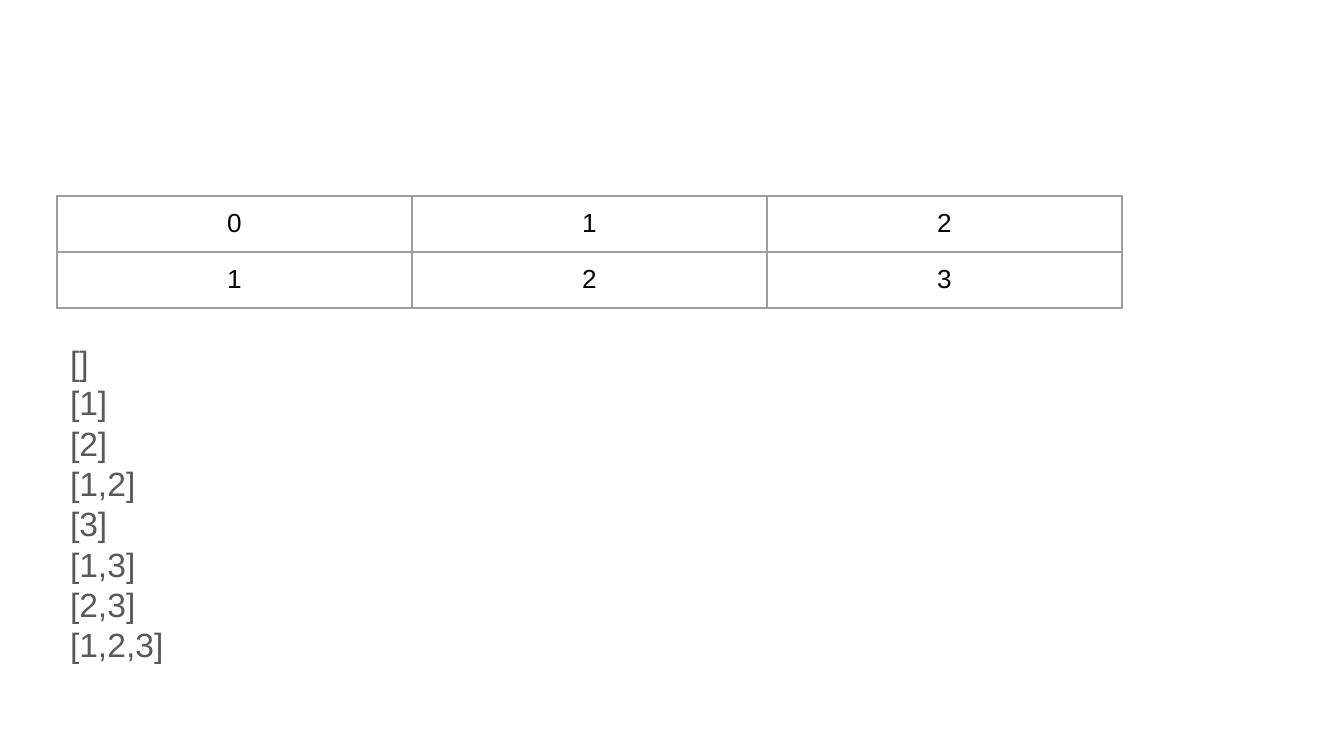
from pptx import Presentation
from pptx.dml.color import RGBColor as Rgb
from pptx.enum.text import PP_ALIGN as Align
from pptx.oxml import parse_xml
from pptx.oxml.ns import nsdecls
from pptx.util import Pt

PX = 914400 / 134.4
INK = {"cell": "000000", "list": "595959", "rule": "9E9E9E"}
PAD = 13


def px(n):
    return round(n * PX)


def put(par, text, size, ink):
    run = par.add_run()
    run.text = text
    look = {"name": "Arial", "size": Pt(size)}
    for key, val in look.items():
        setattr(run.font, key, val)
    run.font.color.rgb = Rgb.from_string(INK[ink])


deck = Presentation()
deck.slide_width, deck.slide_height = px(1344), px(756)
slide = deck.slides.add_slide(deck.slide_layouts[6])
pads = {f"margin_{side}": px(PAD) for side in ("left", "right", "top", "bottom")}

# Table: index above value
rows = [["0", "1", "2"], ["1", "2", "3"]]
wide, high = 355, 56
grid = slide.shapes.add_table(
    2, 3, px(57), px(196), px(3 * wide), px(2 * high)).table
for flag in ("first_row", "horz_banding"):
    setattr(grid, flag, False)
for col in grid.columns:
    col.width = px(wide)
for r, row in enumerate(rows):
    grid.rows[r].height = px(high)
    for c, text in enumerate(row):
        cell = grid.cell(r, c)
        for key, val in pads.items():
            setattr(cell, key, val)
        par = cell.text_frame.paragraphs[0]
        par.alignment = Align.CENTER
        put(par, text, 14, "cell")
        # Borders come before the fill in the cell properties
        props = cell._tc.get_or_add_tcPr()
        for edge in ("lnL", "lnR", "lnT", "lnB"):
            props.append(parse_xml(
                f'<a:{edge} {nsdecls("a")} w="{Pt(0.75)}"><a:solidFill>'
                f'<a:srgbClr val="{INK["rule"]}"/></a:solidFill></a:{edge}>'))
        cell.fill.background()

# List of subsets
sets = ["[]", "[1]", "[2]", "[1,2]", "[3]", "[1,3]", "[2,3]", "[1,2,3]"]
box = slide.shapes.add_textbox(px(57), px(329), px(1181), px(398))
frame = box.text_frame
for key, val in {**pads, "word_wrap": True}.items():
    setattr(frame, key, val)
for i, text in enumerate(sets):
    par = frame.add_paragraph() if i else frame.paragraphs[0]
    par.line_spacing = Pt(21.6)
    put(par, text, 18, "list")

deck.save("out.pptx")
